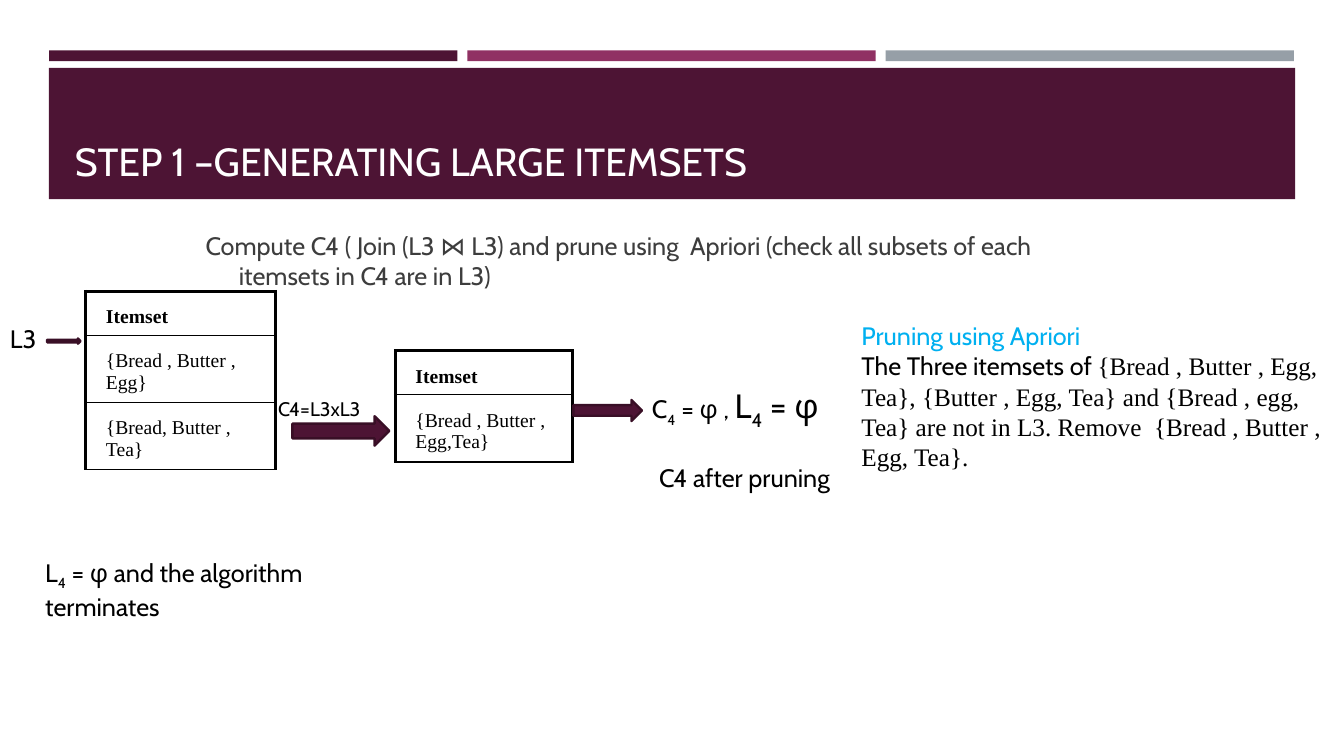
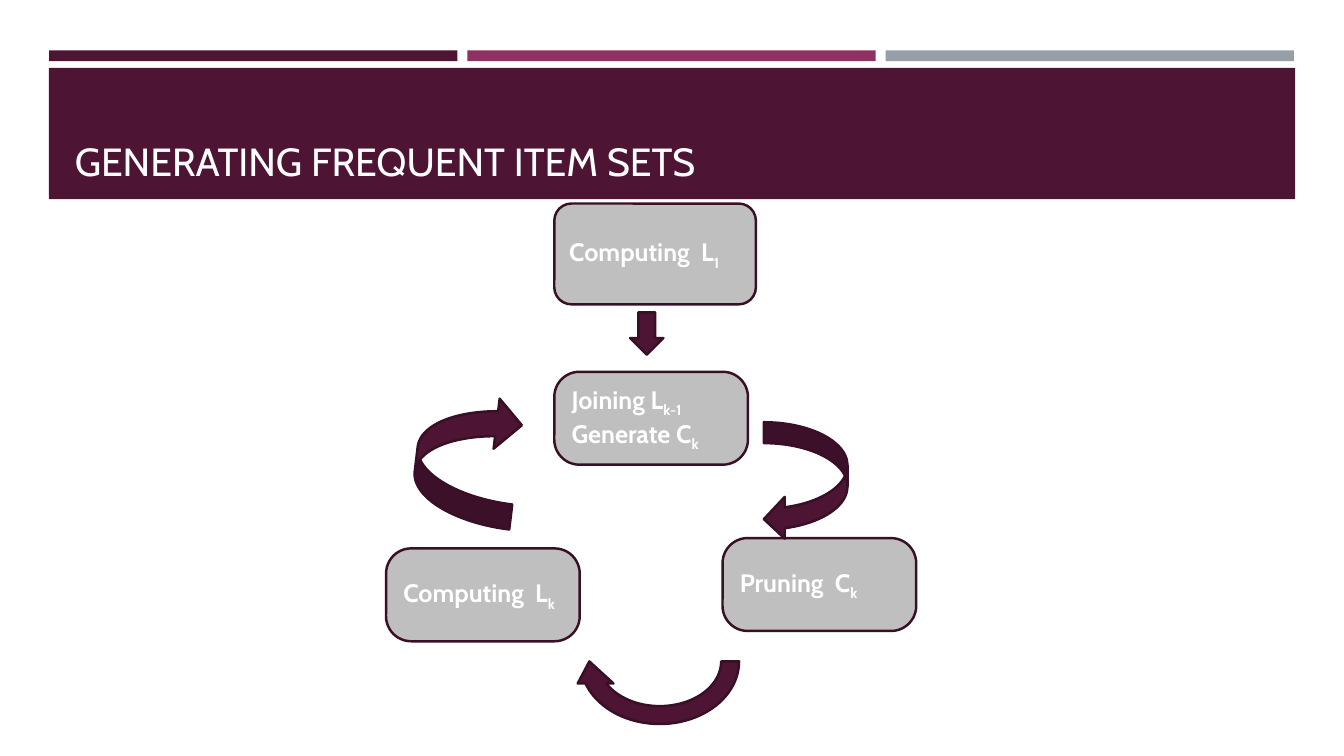
"""Build two slides on generating item sets with the Apriori algorithm."""
from lxml import etree
from pptx import Presentation
from pptx import util as u
from pptx.dml import color
from pptx.enum import shapes, text
from pptx.oxml import ns

COLORS = {
    "plum": "4D1434", "berry": "903163", "steel": "969FA7", "edge": "390F26",
    "node": "BFBFBF", "body": "3D3D3D", "black": "000000", "white": "FFFFFF",
    "sky": "00B0F0",
}
SANS, SERIF = "Cabin", "Times New Roman"
KINDS = shapes.MSO_SHAPE
MIDDLE = text.MSO_ANCHOR.MIDDLE
SUB = {"sub": True}


def rgb(name):
    """Return the named colour."""
    return color.RGBColor.from_string(COLORS[name])


def assign(target, values):
    """Set each attribute in values on target."""
    for key, value in values.items():
        setattr(target, key, value)


class Deck:
    """Holds the presentation, its style and the current slide."""

    TITLE_FRAME = {"vertical_anchor": text.MSO_ANCHOR.BOTTOM, "word_wrap": True}
    CELL = {"margin_left": u.Cm(0.51), "margin_right": u.Cm(0.25),
            "margin_top": u.Cm(0.38), "margin_bottom": u.Cm(0.13)}

    def __init__(self):
        """Start an empty wide presentation."""
        self.show = Presentation()
        assign(self.show, {"slide_width": u.Cm(33.87), "slide_height": u.Cm(19.05)})
        self.layout = self.show.slide_layouts[5]
        self.slide = None

    def add_slide(self, heading):
        """Add a slide and format its title."""
        self.slide = self.show.slides.add_slide(self.layout)
        title = self.slide.shapes.title
        assign(title, {"left": u.Cm(1.63), "top": u.Cm(1.96),
                       "width": u.Cm(30.63), "height": u.Cm(2.82)})
        self.set_text(title.text_frame, [[heading]], self.TITLE_FRAME, size=28, color="white")

    def add_bands(self):
        """Place the header bands on the shared layout."""
        bands = [self.shape(KINDS.RECTANGLE, (1.23, 1.71, 31.41, 3.31), "plum", None)]
        for column, fill in enumerate(("plum", "berry", "steel")):
            place = (1.24 + column * 10.54, 1.27, 10.29, 0.27)
            bands.append(self.shape(KINDS.RECTANGLE, place, fill, None))
        for number, band in enumerate(bands):
            band.element.nvSpPr.cNvPr.id = 100 + number
            self.layout.shapes.element.insert(2 + number, band.element)

    def set_text(self, frame, paragraphs, frame_format=None, **base):
        """Fill a text frame with paragraphs of plain or formatted runs."""
        assign(frame, frame_format or {"word_wrap": True})
        for index, runs in enumerate(paragraphs):
            paragraph = frame.paragraphs[0] if index == 0 else frame.add_paragraph()
            paragraph.alignment = text.PP_ALIGN.LEFT
            for part in runs:
                content, extra = (part, {}) if isinstance(part, str) else part
                style = {"size": 18, "name": SANS, "bold": False,
                         "color": "black", "sub": False, **base, **extra}
                run = paragraph.add_run()
                run.text = content
                run.font.color.rgb = rgb(style.pop("color"))
                if style.pop("sub"):
                    run.font._element.set("baseline", "-25000")
                style["size"] = u.Pt(style["size"])
                assign(run.font, style)

    def text(self, place, paragraphs, frame_format=None, **base):
        """Add a text box."""
        box = self.slide.shapes.add_textbox(*map(u.Cm, place))
        self.set_text(box.text_frame, paragraphs, frame_format, **base)
        return box

    def shape(self, kind, place, fill="plum", edge="edge", rotation=0):
        """Add a flat preset shape."""
        item = self.slide.shapes.add_shape(kind, *map(u.Cm, place))
        item.shadow.inherit = False
        item.rotation = rotation
        item.fill.solid()
        item.fill.fore_color.rgb = rgb(fill)
        if edge:
            item.line.color.rgb = rgb(edge)
            item.line.width = u.Pt(1.75)
        else:
            item.line.fill.background()
        return item

    def node(self, place, paragraphs, rounding):
        """Add a rounded step of the cycle."""
        step = self.shape(KINDS.ROUNDED_RECTANGLE, place, "node")
        step.adjustments[0] = rounding
        self.set_text(step.text_frame, paragraphs,
                      {"word_wrap": True, "vertical_anchor": MIDDLE}, bold=True, color="white")

    def border(self, cell, widths):
        """Draw black cell borders of the given widths in points."""
        properties = cell._tc.get_or_add_tcPr()
        for position, (side, width) in enumerate(widths.items()):
            line = etree.Element(ns.qn(f"a:ln{side}"), w=str(u.Pt(width)))
            fill = etree.SubElement(line, ns.qn("a:solidFill"))
            etree.SubElement(fill, ns.qn("a:srgbClr"), val=COLORS["black"])
            properties.insert(position, line)

    def itemsets(self, left, top, width, rows):
        """Add a one-column table of item sets under a heading."""
        heights = [1.09] + [1.69] * len(rows)
        holder = self.slide.shapes.add_table(
            len(heights), 1, *map(u.Cm, (left, top, width, sum(heights))))
        table = holder.table
        assign(table, {"first_row": False, "horz_banding": False})
        for index, content in enumerate(["Itemset", *rows]):
            table.rows[index].height = u.Cm(heights[index])
            cell = table.cell(index, 0)
            cell.fill.background()
            assign(cell, self.CELL)
            self.set_text(cell.text_frame, [[content]], size=14, name=SERIF, bold=index == 0)
            self.border(cell, {"L": 2.25, "R": 2.25, "T": 1 if index else 2.25, "B": 1})


def itemset_slide(deck):
    """Build the slide that joins L3 and prunes C4."""
    deck.add_slide("STEP 1 –GENERATING LARGE ITEMSETS")
    deck.add_bands()
    task = deck.text(
        (4.93, 4.45, 22.86, 4.24),
        [["Compute C4 ( Join (L3 ⋈ L3) and prune using  Apriori "
          "(check all subsets of each  itemsets in C4 are in L3)"]],
        {"word_wrap": True, "vertical_anchor": MIDDLE}, color="body")
    indent = task.text_frame.paragraphs[0]._p.get_or_add_pPr()
    indent.set("marL", str(u.Cm(0.84)))
    indent.set("indent", str(-u.Cm(0.84)))

    deck.text((6.76, 9.88, 3.25, 0.86), [["C4=L3xL3"]], size=14)
    deck.text((0, 8.03, 1.27, 1.02), [["L3"]])
    deck.itemsets(9.96, 8.84, 4.47, ["{Bread , Butter , Egg,Tea}"])
    deck.itemsets(2.16, 7.34, 4.78, ["{Bread , Butter , Egg}", "{Bread, Butter , Tea}"])
    for place in ((1.19, 8.53, 0.84, 0.13), (7.37, 10.49, 2.44, 0.74),
                  (14.45, 10.08, 1.73, 0.53)):
        deck.shape(KINDS.RIGHT_ARROW, place)

    deck.text((16.36, 11.53, 4.93, 1.02), [["C4 after pruning"]])
    deck.text((21.46, 7.95, 12.4, 4.11), [
        [("Pruning using Apriori", {"color": "sky"})],
        ["The Three itemsets of ",
         ("{Bread , Butter , Egg, Tea}, {Butter , Egg, Tea} and {Bread , egg, Tea} "
          "are not in L3. Remove  {Bread , Butter , Egg, Tea}.", {"name": SERIF})],
    ])
    large = {"size": 24}
    deck.text((16.18, 9.58, 5, 1.27), [
        ["C", ("4", SUB), " = φ , ", ("L", large), ("4", {**large, **SUB}), (" = φ", large)]])
    deck.text((0.89, 13.92, 9.88, 1.02),
              [["L", ("4", SUB), " = φ and the algorithm terminates"]])


def cycle_slide(deck):
    """Build the slide that shows the join and prune cycle."""
    deck.add_slide("GENERATING FREQUENT ITEM SETS")
    deck.node((13.97, 5.13, 5.08, 2.54), [["Computing  L", ("1", SUB)]], 0.17)
    steps = (
        (13.97, 9.37, [["Joining L", ("k-1", SUB)], ["Generate C", ("k", SUB)]]),
        (18.21, 13.56, [["Pruning  C", ("k", SUB)]]),
        (9.73, 13.82, [["Computing  L", ("k", SUB)]]),
    )
    for left, top, paragraphs in steps:
        deck.node((left, top, 4.88, 2.34), paragraphs, 0.27)
    arrows = (
        (KINDS.DOWN_ARROW, (15.88, 7.87, 0.84, 1.07), 0),
        (KINDS.CURVED_LEFT_ARROW, (19.25, 10.64, 2.11, 2.97), 0),
        (KINDS.CIRCULAR_ARROW, (14.4, 14.86, 4.45, 3.61), 180),
        (KINDS.CURVED_DOWN_ARROW, (10.13, 10.29, 3.28, 2.54), 276.9),
    )
    for kind, place, rotation in arrows:
        deck.shape(kind, place, rotation=rotation)


def main():
    """Build and save the presentation."""
    deck = Deck()
    itemset_slide(deck)
    cycle_slide(deck)
    deck.show.save("out.pptx")


if __name__ == "__main__":
    main()
